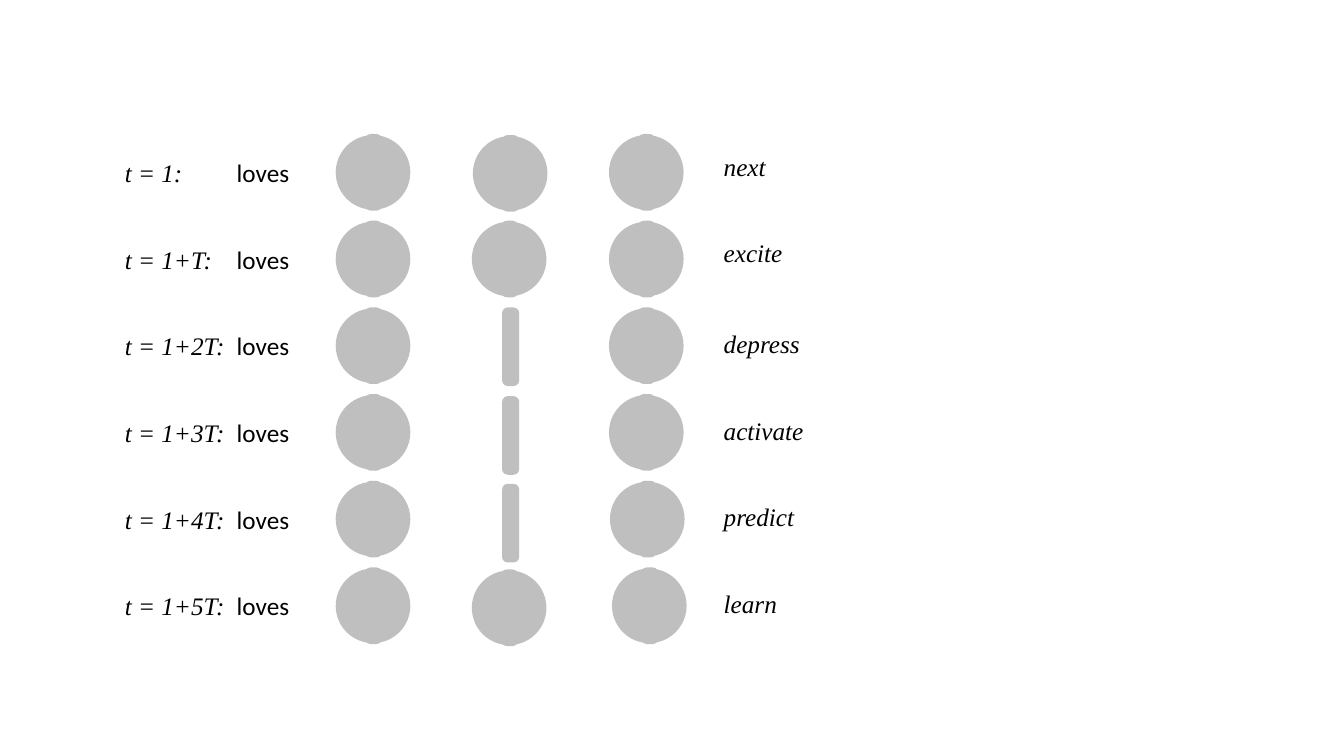
from pptx import Presentation
from pptx import util as u
from pptx.dml.color import RGBColor
from pptx.enum import shapes, text
from pptx.oxml import parse_xml
from pptx.oxml.ns import nsdecls


def colour(hex_string):
    return RGBColor.from_string(hex_string)


class Diagram:
    """Style of the unit grid and the slide it is drawn on."""
    GREY, BLACK = "BFBFBF", "000000"
    SERIF, SANS, SIZE = "Times New Roman", "Calibri", 18
    RING, CORE, BAR = 0.74, 0.54, 0.17
    RING_ADJ, BAR_ADJ = 0.142, 0.331
    WORD_TAB = 1.11

    def __init__(self, slide):
        self.s = slide

    def shape(self, parent, kind, x, y, w, h, adj=None):
        sp = parent.add_shape(kind, *(u.Inches(v) for v in (x, y, w, h)))
        sp.shadow.inherit = False
        sp.fill.solid()
        sp.fill.fore_color.rgb = colour(self.GREY)
        sp.line.fill.background()
        if adj is not None:
            sp.adjustments[0] = adj

    def bar(self, parent, x, y, h):
        self.shape(parent, shapes.MSO_SHAPE.ROUNDED_RECTANGLE, x, y, self.BAR, h, self.BAR_ADJ)

    def unit(self, x, y):
        """Draw a ring, its core and the upright bar as one group."""
        group = self.s.shapes.add_group_shape().shapes
        inset = (self.RING - self.CORE) / 2
        self.shape(group, shapes.MSO_SHAPE.DONUT, x, y, self.RING, self.RING, self.RING_ADJ)
        self.shape(group, shapes.MSO_SHAPE.OVAL, x + inset, y + inset, self.CORE, self.CORE)
        self.bar(group, x + 0.29, y - 0.01, 0.76)

    def label(self, x, y, w, runs, tab=None):
        """Add a one-line text box; runs are (text, font, italic)."""
        sp = self.s.shapes.add_textbox(*(u.Inches(v) for v in (x, y, w, 0.4)))
        tf = sp.text_frame
        tf.word_wrap = True
        tf.auto_size = text.MSO_AUTO_SIZE.NONE
        p = tf.paragraphs[0]
        if tab:
            p._p.get_or_add_pPr().append(parse_xml(
                f'<a:tabLst {nsdecls("a")}><a:tab pos="{u.Inches(tab)}" algn="l"/></a:tabLst>'))
        for words, font, italic in runs:
            r = p.add_run()
            r.text = words
            r.font.name, r.font.size, r.font.italic = font, u.Pt(self.SIZE), italic
            r.font.color.rgb = colour(self.BLACK)

    def time_label(self, x, y, time):
        runs = [(f"{time}\t", self.SERIF, True), ("loves", self.SANS, False)]
        self.label(x, y, 1.97, runs, self.WORD_TAB)

    def word(self, x, y, word):
        self.label(x, y, 1.1, [(word, self.SERIF, True)])


TOP, PITCH = 1.34, 0.86
TIME_X, LEFT_X, BAR_X, WORD_X = 1.14, 3.33, 4.98, 7.08
# time, middle unit (x, y) or None, bar y, right unit x, word, word y
ROWS = [
    ("t = 1:", (4.69, 1.35), None, 6.04, "next", 1.45),
    ("t = 1+T:", (4.68, 2.2), None, 6.04, "excite", 2.31),
    ("t = 1+2T:", None, 3.05, 6.04, "depress", 3.21),
    ("t = 1+3T:", None, 3.93, 6.04, "activate", 4.07),
    ("t = 1+4T:", None, 4.8, 6.05, "predict", 4.92),
    ("t = 1+5T:", (4.68, 5.66), None, 6.07, "learn", 5.79),
]


def main():
    prs = Presentation()
    prs.slide_width, prs.slide_height = u.Inches(13.33), u.Inches(7.5)
    s = prs.slides.add_slide(prs.slide_layouts[6])
    diagram = Diagram(s)
    for i, (time, middle, bar_y, right_x, word, word_y) in enumerate(ROWS):
        y = TOP + i * PITCH
        diagram.time_label(TIME_X, y + 0.17, time)
        diagram.unit(LEFT_X, y)
        if middle:
            diagram.unit(*middle)
        else:
            diagram.bar(s.shapes, BAR_X, bar_y, 0.78)
        diagram.unit(right_x, y)
        diagram.word(WORD_X, word_y, word)
    prs.save("out.pptx")


if __name__ == "__main__":
    main()
